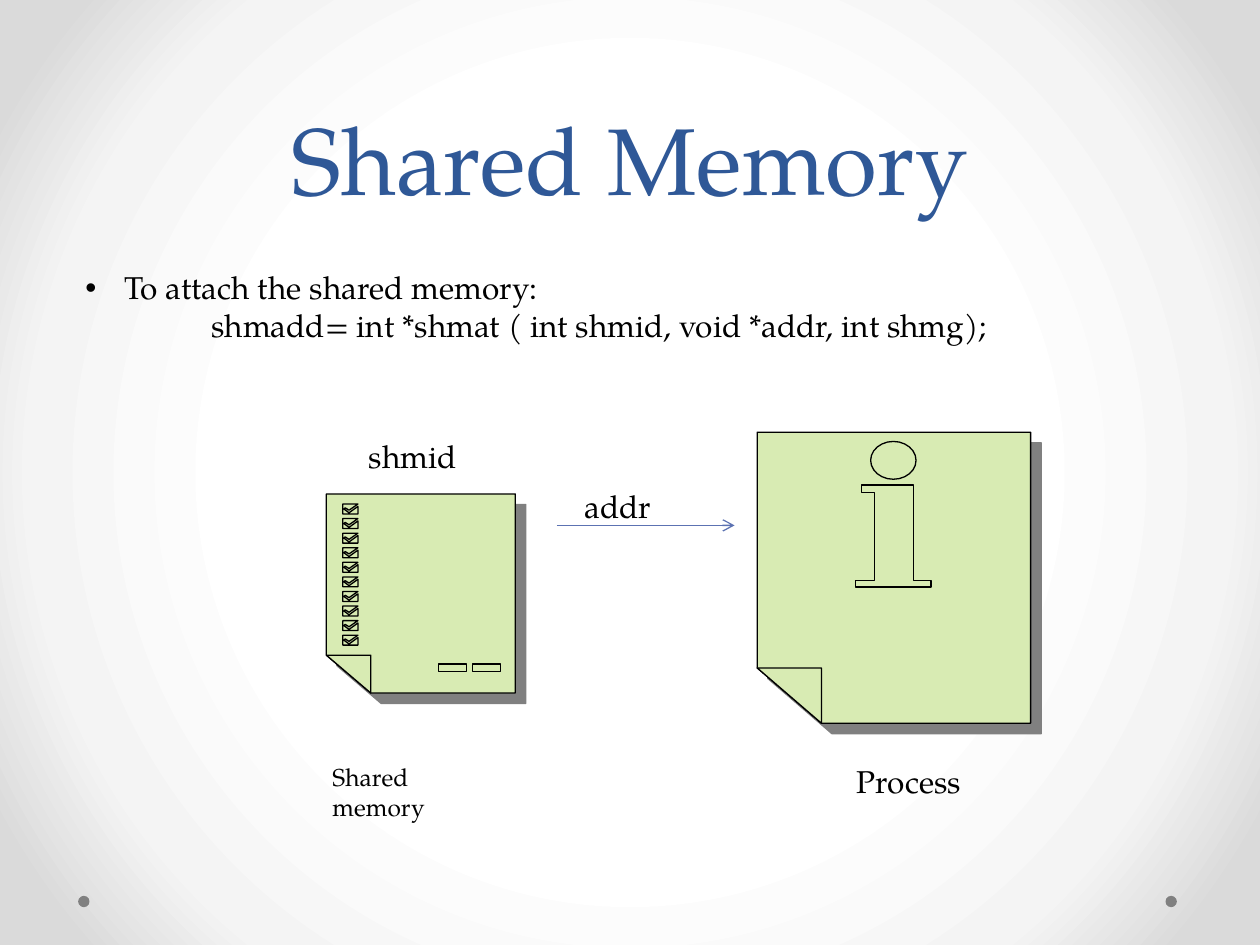
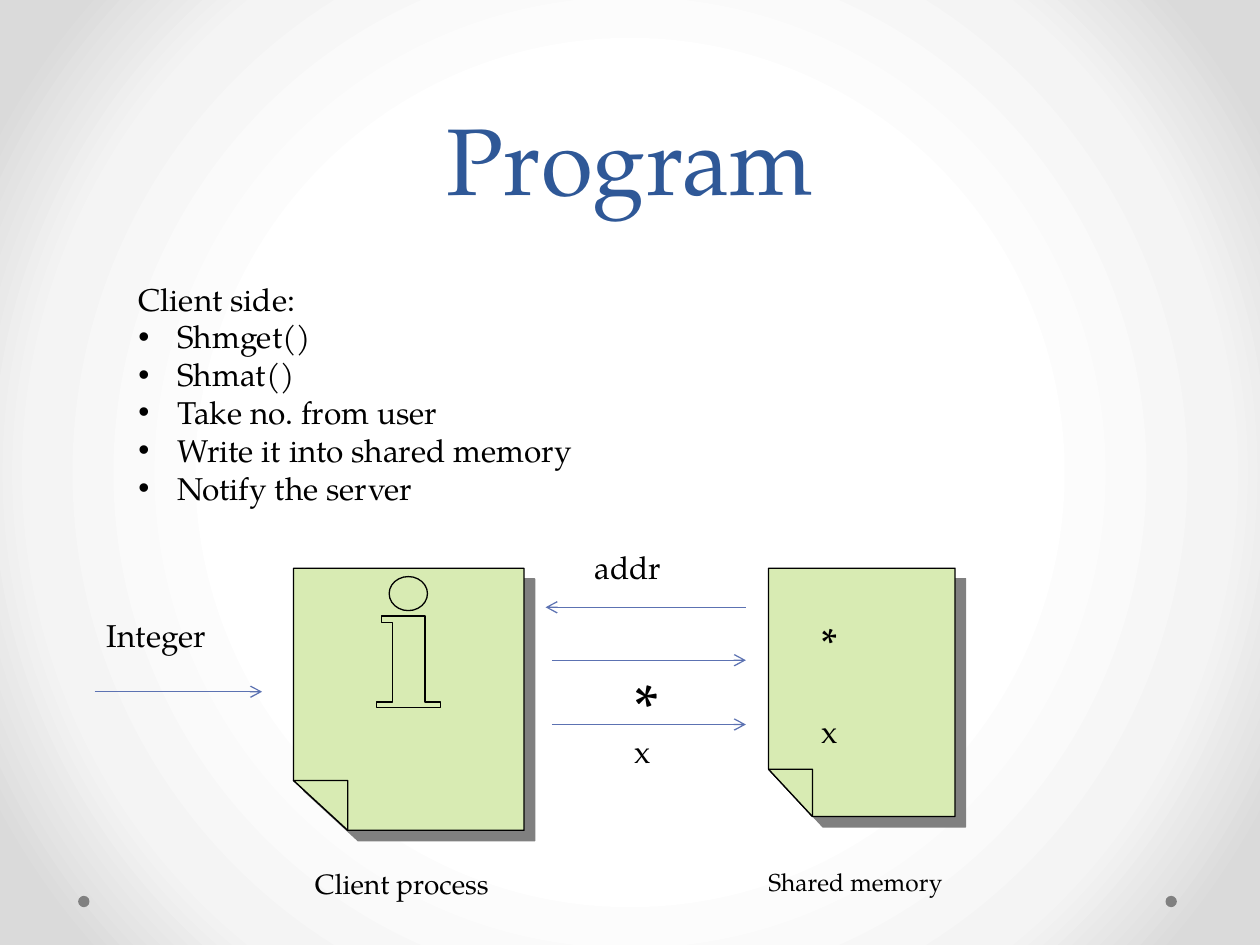
import math

import pptx
import pptx.dml.color
import pptx.enum.shapes
import pptx.enum.text
import pptx.oxml
import pptx.oxml.ns
import pptx.util
from pptx.util import Inches

FONT = "TeX Gyre Pagella"
BLACK, TITLE_BLUE, ARROW_BLUE = "000000", "2F5897", "5C72B2"
NOTE_GREEN, SHADOW_GREY = "D8EBB3", "808080"
BACKGROUND_STOPS = [(50, "FFFFFF"), (76, "F4F4F4"), (92, "DADADA")]
FOOTER_DOTS = [0.62, 9.25]
BULLET_INDENT = 0.31

# Outlines inside a note are in percent of its width and height.
FOLD_WIDTH, FOLD_HEIGHT = 23.5, 19
LETTER_STEM = [(38.2, 18.2), (57.1, 18.2), (57.1, 51.1), (63.6, 51.1), (63.6, 53.2), (36, 53.2),
               (36, 51.1), (42.9, 51.1), (42.9, 20.8), (38.2, 20.8)]
LETTER_DOT = [(49.8 + 8.3 * math.cos(step * math.pi / 12), 9.7 + 6.5 * math.sin(step * math.pi / 12))
              for step in range(24)]
CHECK_MARK = [(8.7, 5.1), (16.7, 5.1), (12, 8.2), (10, 7), (9.3, 7.6), (12, 9.5),
              (16.7, 6.3), (16.7, 10.1), (8.7, 10.1)]
CHECK_STEP, CHECK_COUNT = 7.32, 10
BAR = [(59.3, 85.4), (74, 85.4), (74, 89.2), (59.3, 89.2)]
BAR_STEP = 18

LETTER = [LETTER_STEM, LETTER_DOT]
CHECKLIST = ([[(x, y + row * CHECK_STEP) for x, y in CHECK_MARK] for row in range(CHECK_COUNT)]
             + [[(x + column * BAR_STEP, y) for x, y in BAR] for column in range(2)])

# Body lines: (text, left indent, bulleted). Notes: (box, details).
# Labels: (text, box, size). Arrows: (from x, to x, y).
SLIDES = [
    {
        "title": "Shared Memory",
        "body_box": (0.58, 2.08, 7.92, 0.71),
        "body": [
            ("To attach the shared memory:", BULLET_INDENT, True),
            ("shmadd= int *shmat ( int shmid, void *addr, int shmg);", 1, False),
        ],
        "notes": [
            ((2.59, 3.92, 1.5, 1.58), CHECKLIST),
            ((6.01, 3.43, 2.17, 2.31), LETTER),
        ],
        "arrows": [(4.42, 5.83, 4.17)],
        "labels": [
            ("shmid", (2.83, 3.42, 1, 0.4), 18),
            ("addr", (4.54, 3.82, 1.04, 0.4), 18),
            ("Process", (6.7, 6, 1.46, 0.4), 18),
            ("Shared memory", (2.54, 6, 1.58, 0.34), 14),
        ],
    },
    {
        "title": "Program",
        "body_box": (1, 2.17, 3.75, 2.22),
        "body": [("Client side:", 0, False)] + [
            (step, BULLET_INDENT, True) for step in (
                "Shmget()", "Shmat()", "Take no. from user",
                "Write it into shared memory", "Notify the server")
        ],
        "notes": [
            ((2.33, 4.51, 1.83, 2.08), LETTER),
            ((6.1, 4.51, 1.48, 1.97), []),
        ],
        "arrows": [(0.75, 2.08, 5.49), (5.92, 4.33, 4.82), (4.38, 5.92, 5.24), (4.38, 5.92, 5.75)],
        "labels": [
            ("Client process", (2.4, 6.83, 1.75, 0.37), 16),
            ("Shared memory", (6, 6.83, 1.67, 0.34), 14),
            ("Integer", (0.75, 4.84, 1.25, 0.4), 18),
            ("addr", (4.62, 4.3, 1, 0.4), 18),
            ("x", (4.94, 5.76, 0.48, 0.4), 18),
            ("*", (4.94, 5.24, 0.48, 0.71), 36),
            ("*", (6.42, 4.84, 0.67, 0.5), 24),
            ("x", (6.42, 5.6, 0.83, 0.4), 18),
        ],
    },
]


def color(hex_value):
    return pptx.dml.color.RGBColor.from_string(hex_value)


def add_child(parent, tag, **attributes):
    child = parent.makeelement(pptx.oxml.ns.qn(tag), attributes)
    parent.append(child)
    return child


def paint_background(page):
    page.background.fill.solid()
    solid = page.element.find(".//" + pptx.oxml.ns.qn("p:bgPr"))[0]
    stops = "".join(f'<a:gs pos="{position * 1000}"><a:srgbClr val="{value}"/></a:gs>'
                    for position, value in BACKGROUND_STOPS)
    gradient = pptx.oxml.parse_xml(
        f'<a:gradFill {pptx.oxml.ns.nsdecls("a")} rotWithShape="1"><a:gsLst>{stops}</a:gsLst>'
        '<a:path path="circle"><a:fillToRect l="50000" t="50000" r="50000" b="50000"/></a:path>'
        '</a:gradFill>')
    solid.getparent().replace(solid, gradient)


def add_text_frame(page, box):
    frame = page.shapes.add_textbox(*map(Inches, box)).text_frame
    frame.word_wrap = True
    return frame


def add_span(para, text, size, hex_value=BLACK):
    span = para.add_run()
    span.text = text
    span.font.name = FONT
    span.font.size = pptx.util.Pt(size)
    span.font.color.rgb = color(hex_value)


def add_title(page, text):
    frame = add_text_frame(page, (0.5, 0, 9, 1.75))
    frame.vertical_anchor = pptx.enum.text.MSO_ANCHOR.BOTTOM
    para = frame.paragraphs[0]
    para.alignment = pptx.enum.text.PP_ALIGN.CENTER
    para.line_spacing = pptx.util.Pt(58)
    add_span(para, text, 54, TITLE_BLUE)


def add_body(page, box, lines):
    frame = add_text_frame(page, box)
    for index, (text, indent, bulleted) in enumerate(lines):
        para = frame.add_paragraph() if index else frame.paragraphs[0]
        properties = para._p.get_or_add_pPr()
        properties.set("marL", str(Inches(indent)))
        if bulleted:
            properties.set("indent", str(-Inches(indent)))
            add_child(properties, "a:buFont", typeface="Arial")
            add_child(properties, "a:buChar", char="•")
        add_span(para, text, 18)


def add_outline(page, box, contours):
    """Draw closed contours, given in percent of the box, as one freeform."""
    left, top, width, height = box
    builder = None
    for contour in contours:
        first, *others = [(Inches(left + width * x / 100), Inches(top + height * y / 100))
                          for x, y in contour]
        if builder is None:
            builder = page.shapes.build_freeform(*first)
        else:
            builder.move_to(*first)
        builder.add_line_segments(others, close=True)
    shape = builder.convert_to_shape()
    shape.shadow.inherit = False
    shape.fill.solid()
    shape.fill.fore_color.rgb = color(NOTE_GREEN)
    shape.line.color.rgb = color(BLACK)
    shape.line.width = pptx.util.Pt(0.75)
    return shape


def add_note(page, box, details):
    """Draw a sheet with a folded lower left corner and a hard shadow."""
    fold_top = 100 - FOLD_HEIGHT
    sheet = add_outline(page, box, [
        [(0, 0), (100, 0), (100, 100), (FOLD_WIDTH, 100), (0, fold_top)]])
    effects = sheet._element.spPr.find(pptx.oxml.ns.qn("a:effectLst"))
    shadow = add_child(effects, "a:outerShdw", dist=str(pptx.util.Pt(8.5)), dir="2700000",
                       algn="ctr", rotWithShape="0")
    add_child(shadow, "a:srgbClr", val=SHADOW_GREY)
    fold = [(0, fold_top), (FOLD_WIDTH, fold_top), (FOLD_WIDTH, 100)]
    add_outline(page, box, [fold] + details)


def add_arrow(page, start, end, height):
    arrow = page.shapes.add_connector(
        pptx.enum.shapes.MSO_CONNECTOR.STRAIGHT, *map(Inches, (start, height, end, height)))
    arrow.line.color.rgb = color(ARROW_BLUE)
    arrow.line.width = pptx.util.Pt(0.75)
    add_child(arrow.line._get_or_add_ln(), "a:tailEnd", type="arrow")
    add_child(arrow._element.spPr, "a:effectLst")


def add_footer_dots(page):
    for left in FOOTER_DOTS:
        dot = page.shapes.add_shape(
            pptx.enum.shapes.MSO_SHAPE.OVAL, *map(Inches, (left, 7.11, 0.09, 0.09)))
        dot.shadow.inherit = False
        dot.fill.solid()
        dot.fill.fore_color.rgb = color(SHADOW_GREY)
        dot.line.fill.background()


def build_slide(deck, content):
    page = deck.slides.add_slide(deck.slide_layouts[6])
    paint_background(page)
    add_footer_dots(page)
    add_title(page, content["title"])
    add_body(page, content["body_box"], content["body"])
    for box, details in content["notes"]:
        add_note(page, box, details)
    for arrow in content["arrows"]:
        add_arrow(page, *arrow)
    for text, box, size in content["labels"]:
        add_span(add_text_frame(page, box).paragraphs[0], text, size)


def main():
    deck = pptx.Presentation()
    deck.slide_width, deck.slide_height = Inches(10), Inches(7.5)
    for content in SLIDES:
        build_slide(deck, content)
    deck.save("out.pptx")


if __name__ == "__main__":
    main()
